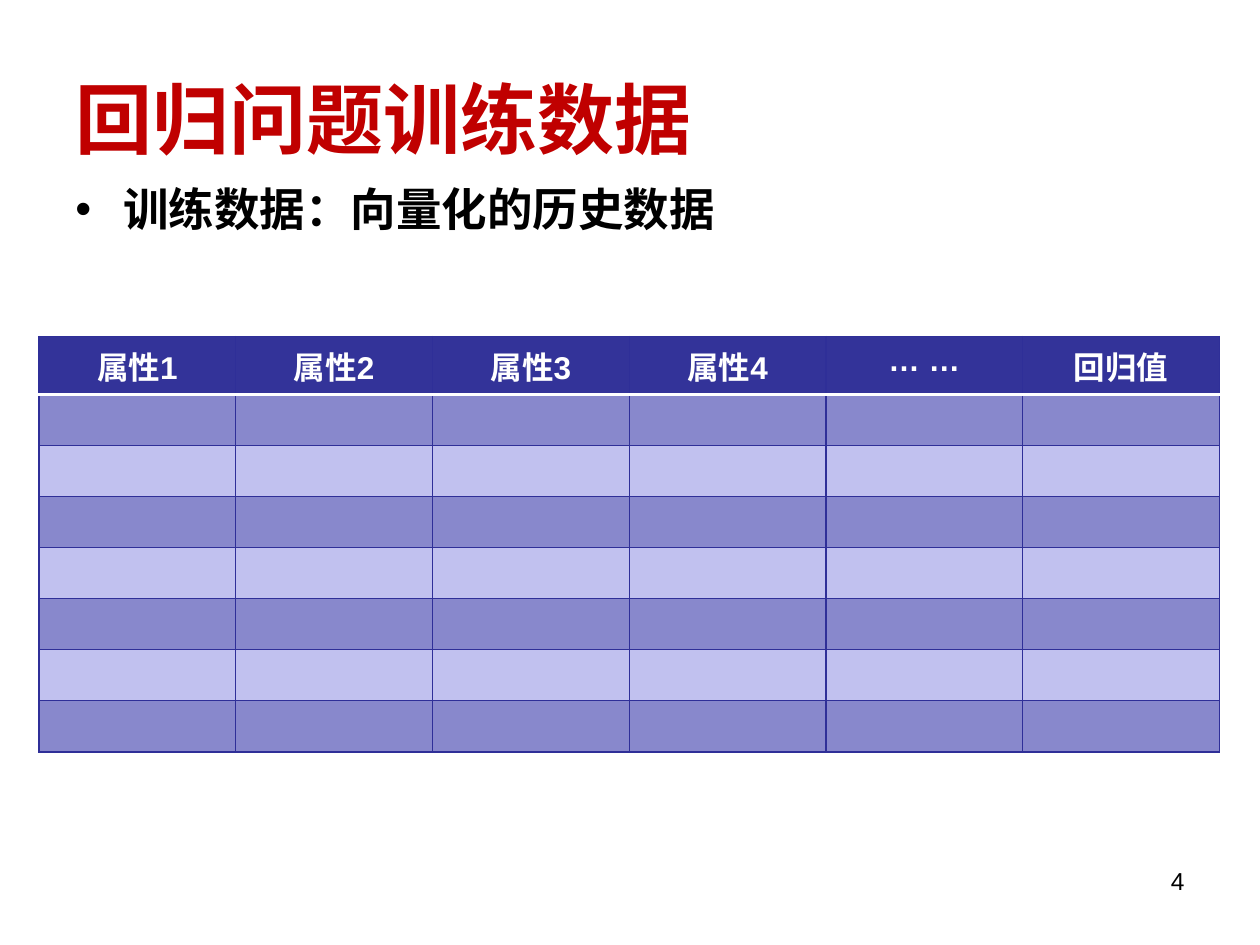
from dataclasses import dataclass

from lxml import etree
from pptx import Presentation
from pptx.dml.color import RGBColor
from pptx.enum.text import MSO_ANCHOR, PP_ALIGN
from pptx.oxml.ns import qn
from pptx.util import Inches, Pt

LEFT, CENTER, RIGHT = PP_ALIGN.LEFT, PP_ALIGN.CENTER, PP_ALIGN.RIGHT
MIDDLE = MSO_ANCHOR.MIDDLE
SLIDE_W, SLIDE_H = 10, 7.5
CJK_FONT = "Noto Sans CJK SC"
HEADERS = ["属性1", "属性2", "属性3", "属性4", "… …", "回归值"]
DATA_ROWS = 7
HEADER_FILL, DARK_BAND, LIGHT_BAND = "333399", "8888CC", "C1C1EF"
GRID, WHITE, BLACK, RED = "2F2F98", "FFFFFF", "000000", "C00000"


@dataclass(frozen=True)
class Box:
    """Left, top, width and height as shares of the slide."""
    x: float
    y: float
    w: float
    h: float

    def emu(self) -> tuple:
        return (Inches(self.x * SLIDE_W), Inches(self.y * SLIDE_H),
                Inches(self.w * SLIDE_W), Inches(self.h * SLIDE_H))


TITLE_BOX = Box(0.05, 0.04, 0.9, 0.17)
BODY_BOX = Box(0.05, 0.185, 0.9, 0.66)
NUMBER_BOX = Box(0.717, 0.91, 0.233, 0.07)
TABLE_BOX = Box(0.031, 0.356, 0.937, 0.44)
HEADER_SHARE = 0.14


def rgb(color: str) -> RGBColor:
    return RGBColor.from_string(color)


def write(tf, text: str, *, size: float, color: str, font: str = "Arial",
          bold: bool = False, align=LEFT, bullet: str = "") -> None:
    tf.word_wrap = True
    p = tf.paragraphs[0]
    p.alignment = align
    if bullet:
        pPr = p._p.get_or_add_pPr()
        indent = Inches(0.38)
        pPr.set("marL", str(indent))
        pPr.set("indent", str(-indent))
        etree.SubElement(pPr, qn("a:buFont")).set("typeface", "Arial")
        etree.SubElement(pPr, qn("a:buChar")).set("char", bullet)
    r = p.add_run()
    r.text = text
    r.font.size, r.font.bold, r.font.name = Pt(size), bold, font
    r.font.color.rgb = rgb(color)
    etree.SubElement(r._r.get_or_add_rPr(), qn("a:ea")).set("typeface", CJK_FONT)


def add_text(slide, box: Box, text: str, **fmt) -> None:
    write(slide.shapes.add_textbox(*box.emu()).text_frame, text, **fmt)


def set_border(cell, side: str, color: str, width: float) -> None:
    ln = etree.SubElement(cell._tc.get_or_add_tcPr(), qn(f"a:ln{side}"))
    ln.set("w", str(Pt(width)))
    fill = etree.SubElement(ln, qn("a:solidFill"))
    etree.SubElement(fill, qn("a:srgbClr")).set("val", color)


def style_cell(cell, row: int) -> None:
    """Draw the grid, the white rule under the header and the row band."""
    rule, line = (WHITE, 2), (GRID, 0.75)
    borders = {"L": line, "R": line, "T": rule if row == 1 else line,
               "B": rule if row == 0 else line}
    for side, (color, width) in borders.items():
        set_border(cell, side, color, width)
    cell.fill.solid()
    band = DARK_BAND if row % 2 else LIGHT_BAND
    cell.fill.fore_color.rgb = rgb(HEADER_FILL if row == 0 else band)


def add_data_table(slide, box: Box) -> None:
    table = slide.shapes.add_table(DATA_ROWS + 1, len(HEADERS), *box.emu()).table
    height = box.emu()[3]
    header_h = int(height * HEADER_SHARE)
    for i, row in enumerate(table.rows):
        row.height = header_h if i == 0 else (height - header_h) // DATA_ROWS
        for cell in row.cells:
            style_cell(cell, i)
    for cell, text in zip(table.rows[0].cells, HEADERS):
        write(cell.text_frame, text, size=18, color=WHITE, bold=True, align=CENTER)


def main() -> None:
    prs = Presentation()
    prs.slide_width, prs.slide_height = Inches(SLIDE_W), Inches(SLIDE_H)
    slide = prs.slides.add_slide(prs.slide_layouts[5])
    title = slide.shapes.title
    title.left, title.top, title.width, title.height = TITLE_BOX.emu()
    title.text_frame.vertical_anchor = MIDDLE
    write(title.text_frame, "回归问题训练数据", size=44, color=RED,
          font="Times New Roman", bold=True)
    add_text(slide, NUMBER_BOX, "4", size=14, color=BLACK, align=RIGHT)
    add_text(slide, BODY_BOX, "训练数据：向量化的历史数据", size=26, color=BLACK,
             font=CJK_FONT, bold=True, bullet="•")
    add_data_table(slide, TABLE_BOX)
    prs.save("out.pptx")


if __name__ == "__main__":
    main()
